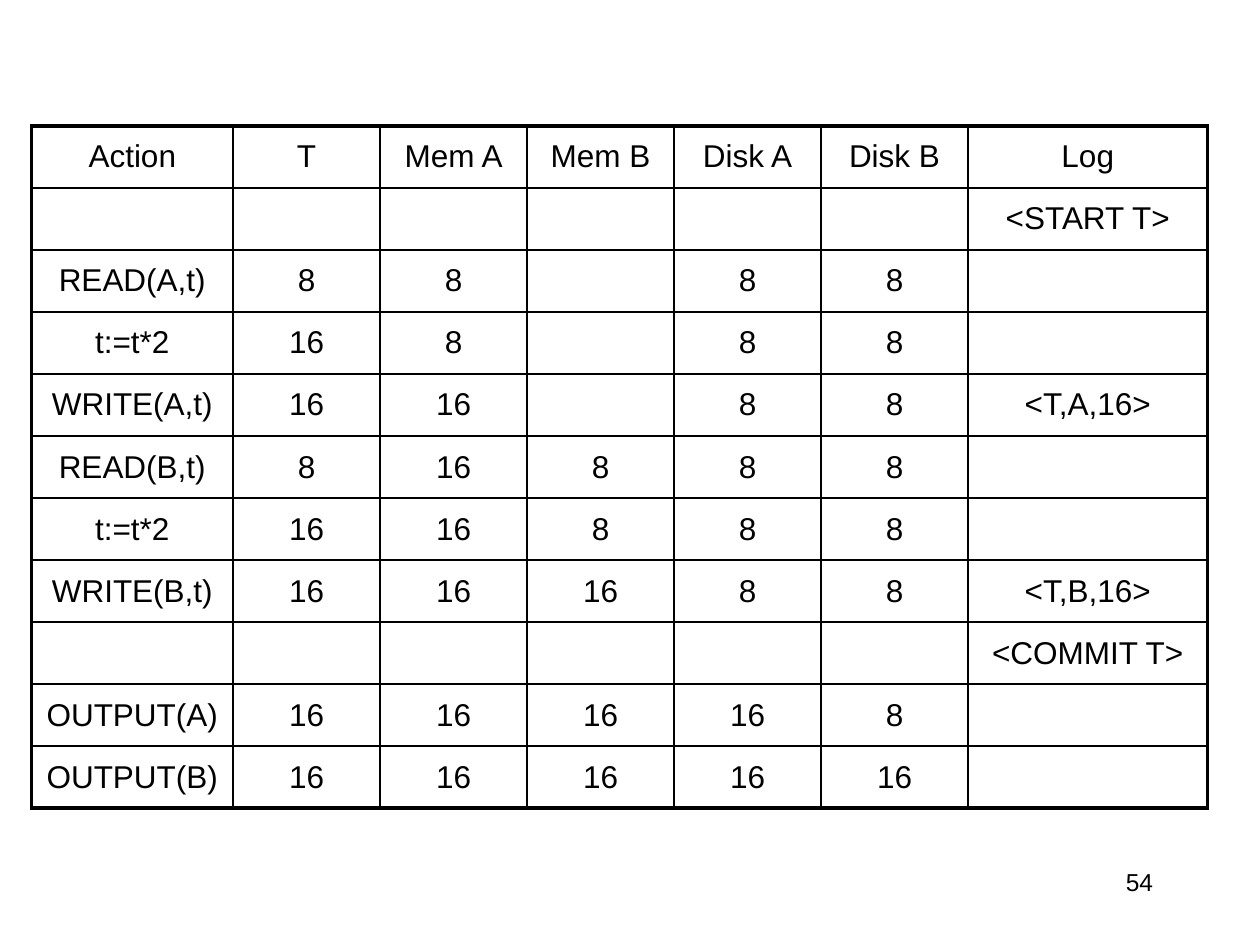
from dataclasses import dataclass

from lxml.etree import SubElement
from pptx import Presentation
from pptx.dml.color import RGBColor
from pptx.enum.text import MSO_ANCHOR, PP_ALIGN
from pptx.oxml.ns import qn
from pptx.slide import Slide
from pptx.table import _Cell
from pptx.text.text import TextFrame
from pptx.util import Inches, Pt


@dataclass(frozen=True)
class Theme:
    """Colours, type sizes and line widths."""
    font: str = "Arial"
    ink: str = "000000"
    body: float = 18
    page: float = 14
    thin: float = 1
    thick: float = 2.25


@dataclass(frozen=True)
class Grid:
    """The slide, split into equal columns and rows."""
    width: int = Inches(10)
    height: int = Inches(7.5)
    cols: int = 120
    rows: int = 90

    def across(self, count: float) -> int:
        """Give the length of some columns."""
        return round(self.width * count / self.cols)

    def down(self, count: float) -> int:
        """Give the length of some rows."""
        return round(self.height * count / self.rows)


@dataclass(frozen=True)
class Box:
    """A place on the grid, in columns and rows."""
    left: float
    top: float
    wide: float
    high: float

    def place(self) -> tuple[int, int, int, int]:
        """Give left, top, width and height as lengths."""
        return (GRID.across(self.left), GRID.down(self.top),
                GRID.across(self.wide), GRID.down(self.high))


THEME = Theme()
GRID = Grid()
SPANS = [19.2, *[14] * 5, 22.8]
TABLE = Box(3, 12, sum(SPANS), 65)
PAGE = Box(86, 82, 25, 6)
STEPS = [
    ["Action", "T", "Mem A", "Mem B", "Disk A", "Disk B", "Log"],
    ["", "", "", "", "", "", "<START T>"],
    ["READ(A,t)", "8", "8", "", "8", "8", ""],
    ["t:=t*2", "16", "8", "", "8", "8", ""],
    ["WRITE(A,t)", "16", "16", "", "8", "8", "<T,A,16>"],
    ["READ(B,t)", "8", "16", "8", "8", "8", ""],
    ["t:=t*2", "16", "16", "8", "8", "8", ""],
    ["WRITE(B,t)", "16", "16", "16", "8", "8", "<T,B,16>"],
    ["", "", "", "", "", "", "<COMMIT T>"],
    ["OUTPUT(A)", "16", "16", "16", "16", "8", ""],
    ["OUTPUT(B)", "16", "16", "16", "16", "16", ""],
]


def assign(target: object, values: dict) -> None:
    """Set each named attribute on the target."""
    for name, value in values.items():
        setattr(target, name, value)


def write(frame: TextFrame, text: str, size: float, align: PP_ALIGN) -> None:
    """Fill a text frame with one formatted paragraph."""
    line = frame.paragraphs[0]
    line.alignment = align
    if text:
        run = line.add_run()
        run.text = text
        assign(run.font, {"name": THEME.font, "size": Pt(size), "bold": False})
        run.font.color.rgb = RGBColor.from_string(THEME.ink)


def border(cell: _Cell, edges: dict[str, bool]) -> None:
    """Draw the cell's sides, thick on the outer edges."""
    props = cell._tc.get_or_add_tcPr()
    for side, outer in edges.items():
        width = Pt(THEME.thick if outer else THEME.thin)
        line = SubElement(props, qn(f"a:ln{side}"), w=str(width))
        fill = SubElement(line, qn("a:solidFill"))
        SubElement(fill, qn("a:srgbClr"), val=THEME.ink)


def draw_table(slide: Slide, box: Box, spans: list[float],
               rows: list[list[str]]) -> None:
    """Draw the log table with a thick frame."""
    table = slide.shapes.add_table(len(rows), len(spans), *box.place()).table
    assign(table, {"first_row": False, "horz_banding": False})
    for col, span in zip(table.columns, spans):
        col.width = GRID.across(span)
    for y, texts in enumerate(rows):
        table.rows[y].height = GRID.down(box.high / len(rows))
        for x, text in enumerate(texts):
            cell = table.cell(y, x)
            cell.vertical_anchor = MSO_ANCHOR.MIDDLE
            write(cell.text_frame, text, THEME.body, PP_ALIGN.CENTER)
            border(cell, {"L": x == 0, "R": x == len(spans) - 1,
                          "T": y == 0, "B": y == len(rows) - 1})
            cell.fill.background()


def draw_page(slide: Slide, box: Box, text: str) -> None:
    """Write the page number."""
    frame = slide.shapes.add_textbox(*box.place()).text_frame
    frame.word_wrap = True
    write(frame, text, THEME.page, PP_ALIGN.RIGHT)


def main() -> None:
    """Build and save the slide."""
    deck = Presentation()
    assign(deck, {"slide_width": GRID.width, "slide_height": GRID.height})
    slide = deck.slides.add_slide(deck.slide_layouts[6])
    draw_page(slide, PAGE, "54")
    draw_table(slide, TABLE, SPANS, STEPS)
    deck.save("out.pptx")


if __name__ == "__main__":
    main()
